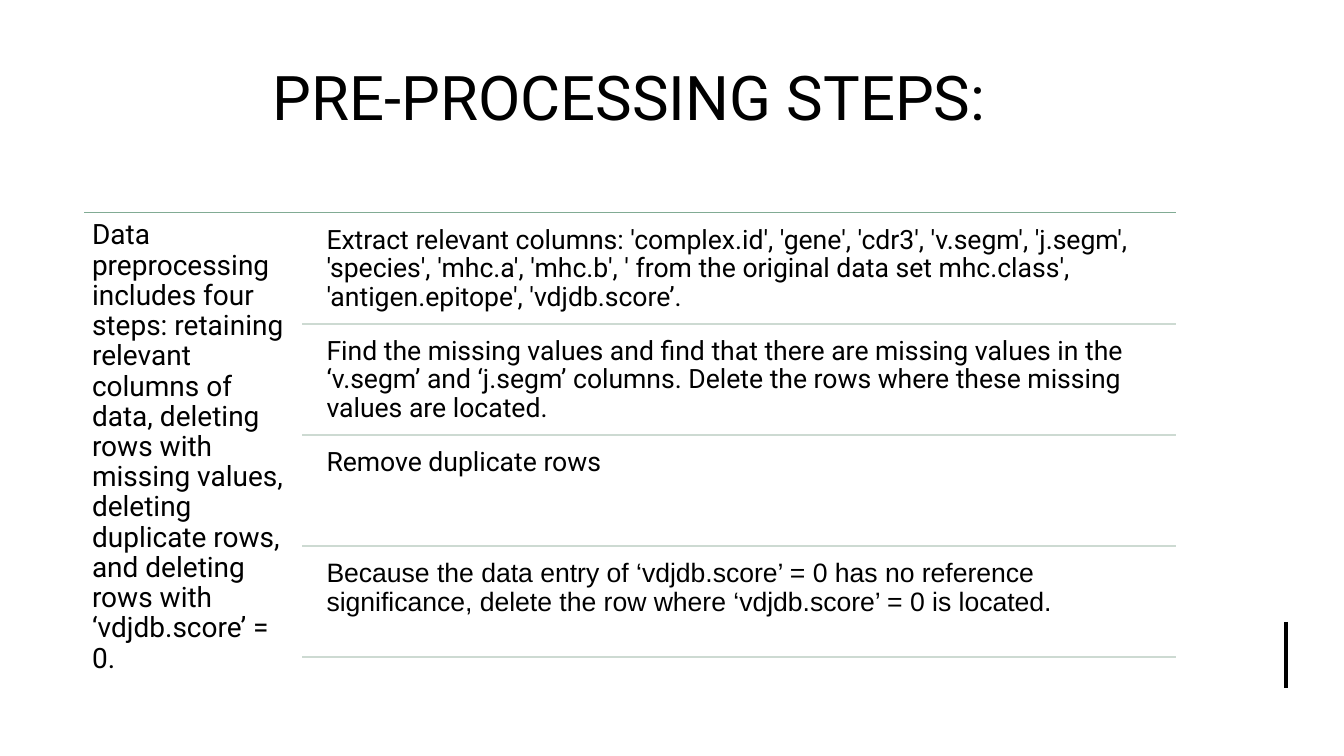
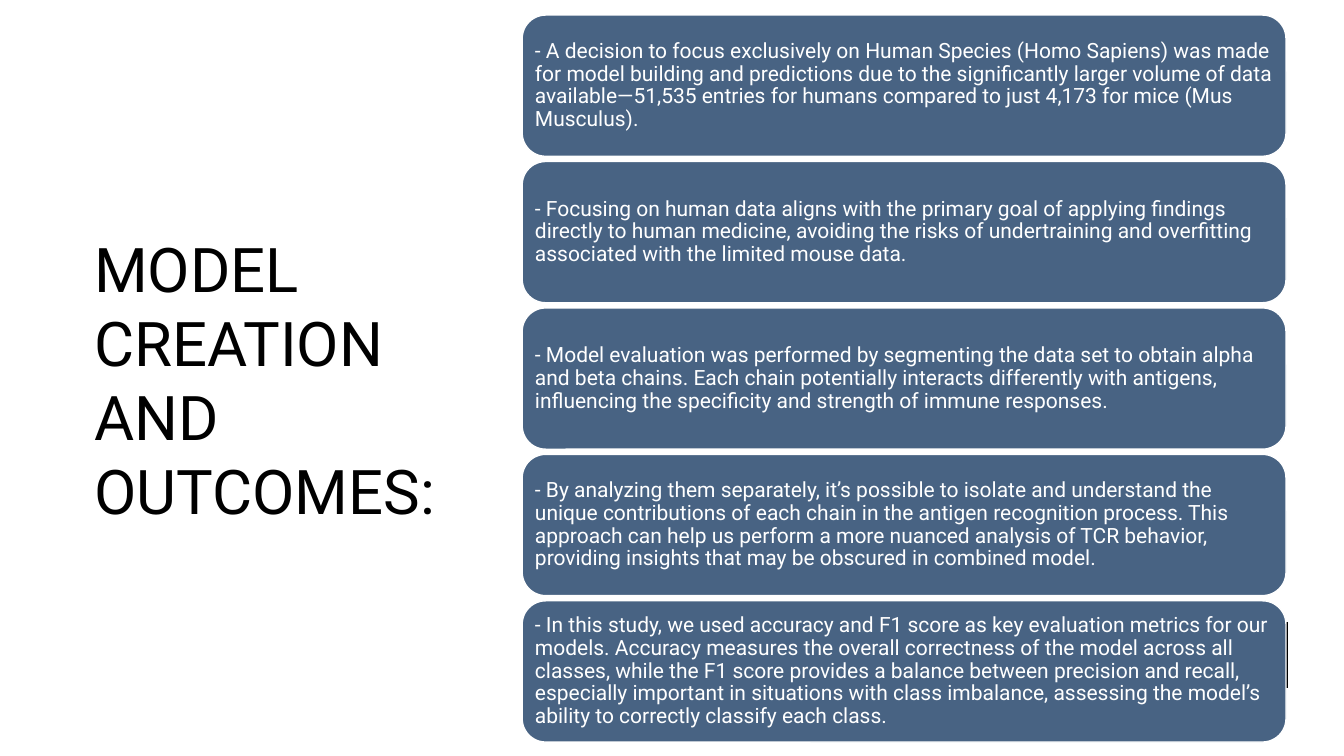
from lxml import etree
from pptx import Presentation
from pptx.dml.color import RGBColor
from pptx.enum.shapes import MSO_CONNECTOR, MSO_SHAPE
from pptx.enum.text import MSO_ANCHOR, MSO_AUTO_SIZE, PP_ALIGN
from pptx.oxml.ns import qn
from pptx.util import Cm, Pt

LINE = MSO_CONNECTOR.STRAIGHT
ROUND = MSO_SHAPE.ROUNDED_RECTANGLE
LEFT, CENTER = PP_ALIGN.LEFT, PP_ALIGN.CENTER
TOP, MIDDLE = MSO_ANCHOR.TOP, MSO_ANCHOR.MIDDLE

BLACK, WHITE = "000000", "FFFFFF"
BLUE, GREEN, PALE = "486383", "81AB94", "CDDAD2"
FONT = "Roboto"


def write(shape, text, size, color, font=FONT, align=LEFT, anchor=TOP,
          inset=None, gap=0.9):
    """Put one styled run in a shape; inset is in cm."""
    frame = shape.text_frame
    frame.word_wrap = True
    frame.auto_size = MSO_AUTO_SIZE.NONE
    frame.vertical_anchor = anchor
    if inset is not None:
        frame.margin_left = frame.margin_right = Cm(inset)
        frame.margin_top = frame.margin_bottom = Cm(inset)
    para = frame.paragraphs[0]
    para.alignment = align
    para.line_spacing = gap
    run = para.add_run()
    run.text = text
    run.font.size = Pt(size)
    run.font.name = font
    run.font.color.rgb = RGBColor.from_string(color)


def rule(slide, x1, y1, x2, y2, color, width):
    """Draw a straight line without shadow, in cm and points."""
    line = slide.shapes.add_connector(LINE, Cm(x1), Cm(y1), Cm(x2), Cm(y2))
    line.line.color.rgb = RGBColor.from_string(color)
    line.line.width = Pt(width)
    etree.SubElement(line._element.spPr, qn("a:effectLst"))


prs = Presentation()
prs.slide_width, prs.slide_height = Cm(33.87), Cm(19.05)

# Title and side bar on both slides
heads = [
    ("PRE-PROCESSING STEPS:", (2.12, 0.81, 27.5, 3.23), CENTER),
    ("MODEL CREATION AND OUTCOMES:", (2.12, 2.39, 9.58, 14.32), LEFT),
]
slides = []
for text, box, align in heads:
    slide = prs.slides.add_slide(prs.slide_layouts[5])
    title = slide.shapes.title
    title.left, title.top, title.width, title.height = map(Cm, box)
    write(title, text, 44, BLACK, align=align, anchor=MIDDLE, gap=1.0)
    rule(slide, 32.41, 15.67, 32.41, 17.33, BLACK, 3)
    slides.append(slide)
prep, model = slides

# Slide 1: summary beside four ruled steps
left, top, right = 2.12, 5.36, 29.63
rule(prep, left, top, right, top, GREEN, 1)
side = prep.shapes.add_textbox(Cm(left), Cm(top), Cm(5.5), Cm(11.33))
write(side, "Data preprocessing includes four steps: retaining relevant columns "
      "of data, deleting rows with missing values, deleting duplicate rows, "
      "and deleting rows with ‘vdjdb.score’ = 0.", 20, BLACK, inset=0.2)

steps = [
    ("Extract relevant columns: 'complex.id', 'gene', 'cdr3', 'v.segm', "
     "'j.segm', 'species', 'mhc.a', 'mhc.b', ' from the original data set "
     "mhc.class', 'antigen.epitope', 'vdjdb.score’.", FONT),
    ("Find the missing values and find that there are missing values in the "
     "‘v.segm’ and ‘j.segm’ columns. Delete the rows where these missing "
     "values are located.", FONT),
    ("Remove duplicate rows", FONT),
    ("Because the data entry of ‘vdjdb.score’ = 0 has no reference "
     "significance, delete the row where ‘vdjdb.score’ = 0 is located.",
     "Arial"),
]
pitch = 2.8
for i, (text, font) in enumerate(steps):
    y = top + i * pitch
    box = prep.shapes.add_textbox(Cm(8.03), Cm(y + 0.14), Cm(21.6), Cm(2.66))
    write(box, text, 19, BLACK, font=font, inset=0.2)
    rule(prep, 7.62, y + pitch, right, y + pitch, PALE, 1)

# Slide 2: stack of cards
cards = [
    "- A decision to focus exclusively on Human Species (Homo Sapiens) was made "
    "for model building and predictions due to the significantly larger volume "
    "of data available—51,535 entries for humans compared to just 4,173 for "
    "mice (Mus Musculus).",
    "- Focusing on human data aligns with the primary goal of applying findings "
    "directly to human medicine, avoiding the risks of undertraining and "
    "overfitting associated with the limited mouse data.",
    "- Model evaluation was performed by segmenting the data set to obtain "
    "alpha and beta chains. Each chain potentially interacts differently with "
    "antigens, influencing the specificity and strength of immune responses.",
    "- By analyzing them separately, it’s possible to isolate and understand "
    "the unique contributions of each chain in the antigen recognition process. "
    "This approach can help us perform a more nuanced analysis of TCR behavior, "
    "providing insights that may be obscured in combined model.",
    "- In this study, we used accuracy and F1 score as key evaluation metrics "
    "for our models. Accuracy measures the overall correctness of the model "
    "across all classes, while the F1 score provides a balance between "
    "precision and recall, especially important in situations with class "
    "imbalance, assessing the model’s ability to correctly classify each class.",
]
for i, text in enumerate(cards):
    card = model.shapes.add_shape(
        ROUND, Cm(13.16), Cm(0.38 + i * 3.69), Cm(19.25), Cm(3.56))
    card.shadow.inherit = False
    card.fill.solid()
    card.fill.fore_color.rgb = RGBColor.from_string(BLUE)
    card.line.color.rgb = RGBColor.from_string(WHITE)
    card.line.width = Pt(1)
    write(card, text, 15, WHITE, anchor=MIDDLE, inset=0.15)

prs.save("out.pptx")
